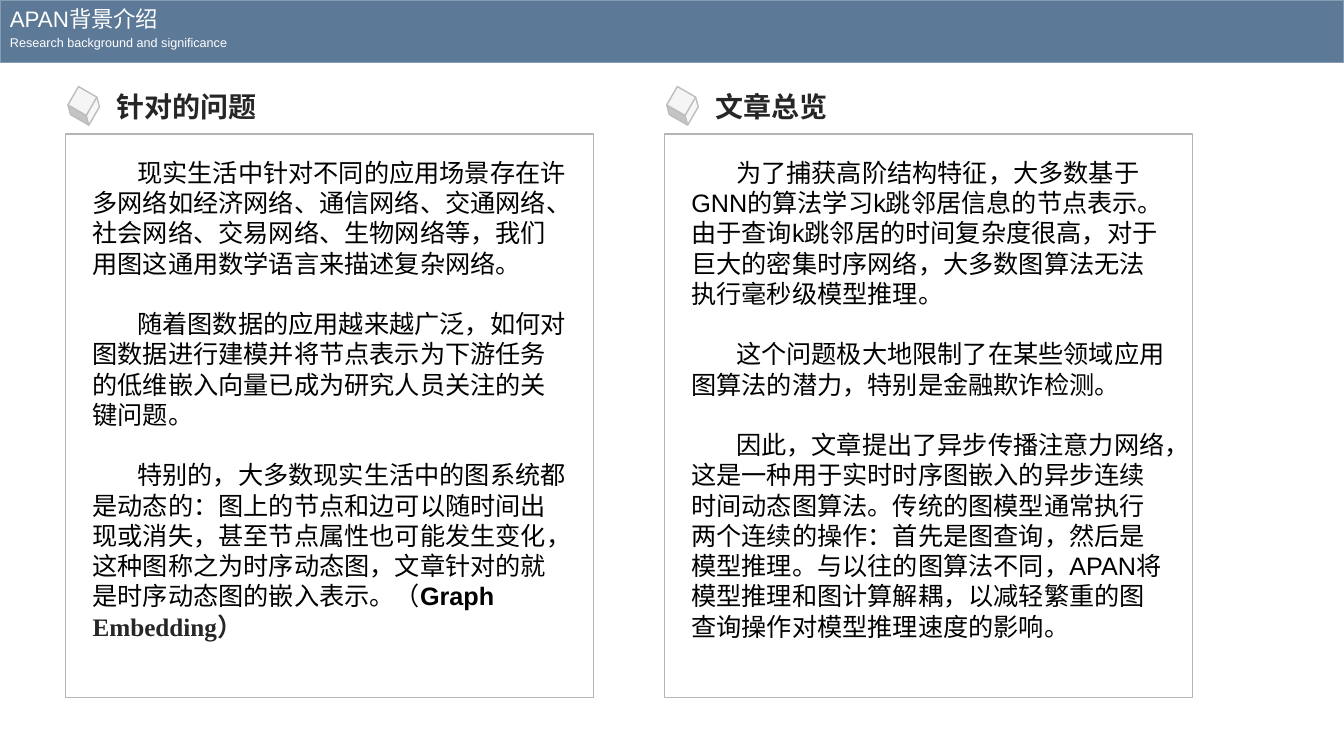
import pptx
import pptx.util
import pptx.dml.color
import pptx.enum.shapes
import pptx.enum.text

Pt = pptx.util.Pt
SHAPE = pptx.enum.shapes.MSO_SHAPE
AUTO_SIZE = pptx.enum.text.MSO_AUTO_SIZE

COLORS = {
    "banner": "5C7997", "banner_edge": "849CB4", "white": "FFFFFF",
    "frame": "B5B5B5", "cube": "F5F5F5", "cube_edge": "BDBDBD",
    "heading": "262626", "body": "000000",
}
SLIDE_W, SLIDE_H = 960, 540
BANNER_H = 44.6
PANEL_W, PANEL_H = 377.3, 402.5
PANEL_LEFT, PANEL_TOP, PANEL_PITCH = 46.8, 95.8, 427.7
FIRST_LINE_INDENT, PARAGRAPH_GAP = 32, 21.6

BODY = {"size": Pt(18), "name": "Arial", "color": "body"}
HEADING = {"size": Pt(20), "name": "Arial", "bold": True, "color": "heading"}
TITLE = {"size": Pt(16), "name": "Arial", "color": "white"}
SUBTITLE = {"size": Pt(9), "name": "Arial", "color": "white"}
STRONG = BODY | {"bold": True}
STRONG_SERIF = STRONG | {"name": "Times New Roman", "color": "heading"}

# Each paragraph is a list of (text, format) runs.
PANELS = [
    ("针对的问题", [
        [("现实生活中针对不同的应用场景存在许多网络如经济网络、通信网络、交通网络、社会网络、"
          "交易网络、生物网络等，我们用图这通用数学语言来描述复杂网络。", BODY)],
        [("随着图数据的应用越来越广泛，如何对图数据进行建模并将节点表示为下游任务的低维嵌入向量"
          "已成为研究人员关注的关键问题。", BODY)],
        [("特别的，大多数现实生活中的图系统都是动态的：图上的节点和边可以随时间出现或消失，"
          "甚至节点属性也可能发生变化，这种图称之为时序动态图，文章针对的就是时序动态图的嵌入表示。（", BODY),
         ("Graph ", STRONG), ("Embedding）", STRONG_SERIF)],
    ]),
    ("文章总览", [
        [("为了捕获高阶结构特征，大多数基于GNN的算法学习k跳邻居信息的节点表示。由于查询k跳邻居的"
          "时间复杂度很高，对于巨大的密集时序网络，大多数图算法无法执行毫秒级模型推理。", BODY)],
        [("这个问题极大地限制了在某些领域应用图算法的潜力，特别是金融欺诈检测。", BODY)],
        [("因此，文章提出了异步传播注意力网络，这是一种用于实时时序图嵌入的异步连续时间动态图算法。"
          "传统的图模型通常执行两个连续的操作：首先是图查询，然后是模型推理。与以往的图算法不同，"
          "APAN将模型推理和图计算解耦，以减轻繁重的图查询操作对模型推理速度的影响。", BODY)],
    ]),
]


def rgb(key):
    return pptx.dml.color.RGBColor.from_string(COLORS[key])


def add_outlined(slide, kind, box, edge, fill=None):
    shape = slide.shapes.add_shape(kind, *map(Pt, box))
    shape.shadow.inherit = False
    if fill:
        shape.fill.solid()
        shape.fill.fore_color.rgb = rgb(fill)
    else:
        shape.fill.background()
    shape.line.color.rgb = rgb(edge)
    shape.line.width = Pt(1)
    return shape


def add_run(paragraph, text, style):
    run = paragraph.add_run()
    run.text = text
    for key, value in style.items():
        if key == "color":
            run.font.color.rgb = rgb(value)
        else:
            setattr(run.font, key, value)


def add_text(slide, box, paragraphs, auto_size=AUTO_SIZE.SHAPE_TO_FIT_TEXT):
    """Add a wrapping text box and return its paragraphs."""
    frame = slide.shapes.add_textbox(*map(Pt, box)).text_frame
    frame.word_wrap = True
    frame.auto_size = auto_size
    for index, runs in enumerate(paragraphs):
        paragraph = frame.add_paragraph() if index else frame.paragraphs[0]
        for text, style in runs:
            add_run(paragraph, text, style)
    return frame.paragraphs


def add_banner(slide, left, top, width, height):
    add_outlined(slide, SHAPE.RECTANGLE, (left, top, width, height), "banner_edge", "banner")
    add_text(slide, (left, top, 172.8, 26.6), [[("APAN背景介绍", TITLE)]])
    add_text(slide, (left, top + 21.6, 200.9, 18),
             [[("Research background and significance", SUBTITLE)]])


def add_panel(slide, left, top, width, height, heading, paragraphs):
    """Add a framed text with its cube and heading above the frame."""
    add_outlined(slide, SHAPE.RECTANGLE, (left, top, width, height), "frame")
    body = add_text(slide, (left + 12.2, top + 13, width - 23.1, height - 27.4),
                    paragraphs, AUTO_SIZE.NONE)
    for index, paragraph in enumerate(body):
        paragraph._p.get_or_add_pPr().set("indent", str(Pt(FIRST_LINE_INDENT)))
        if index:
            paragraph.space_before = Pt(PARAGRAPH_GAP)
    add_text(slide, (left + 29.5, top - 35.3, 190.8, 31.7), [[(heading, HEADING)]])
    cube = add_outlined(slide, SHAPE.CUBE, (left + 2.9, top - 30.3, 20.2, 20.2),
                        "cube_edge", "cube")
    cube.rotation = 120


def main():
    deck = pptx.Presentation()
    deck.slide_width, deck.slide_height = Pt(SLIDE_W), Pt(SLIDE_H)
    slide = deck.slides.add_slide(deck.slide_layouts[6])
    add_banner(slide, 0, 0, SLIDE_W, BANNER_H)
    for column, (heading, paragraphs) in enumerate(PANELS):
        add_panel(slide, PANEL_LEFT + column * PANEL_PITCH, PANEL_TOP,
                  PANEL_W, PANEL_H, heading, paragraphs)
    deck.save("out.pptx")


if __name__ == "__main__":
    main()
